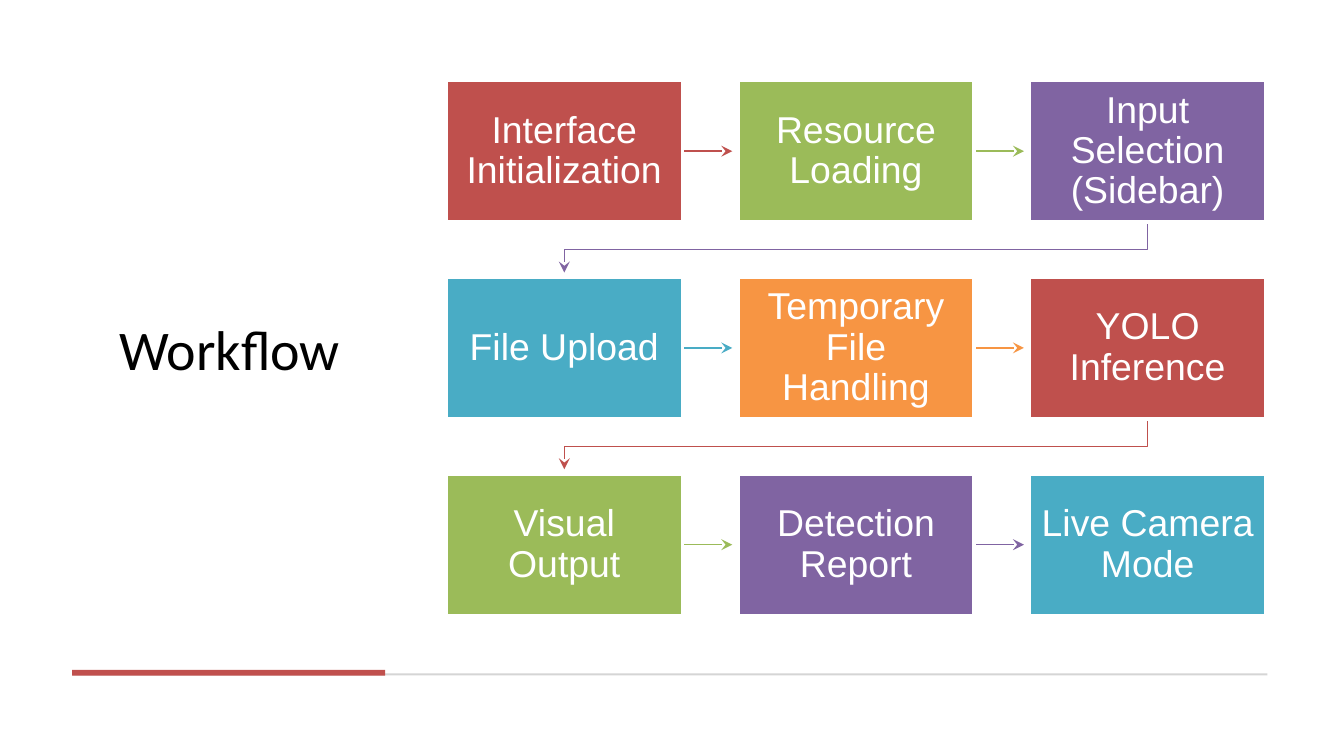
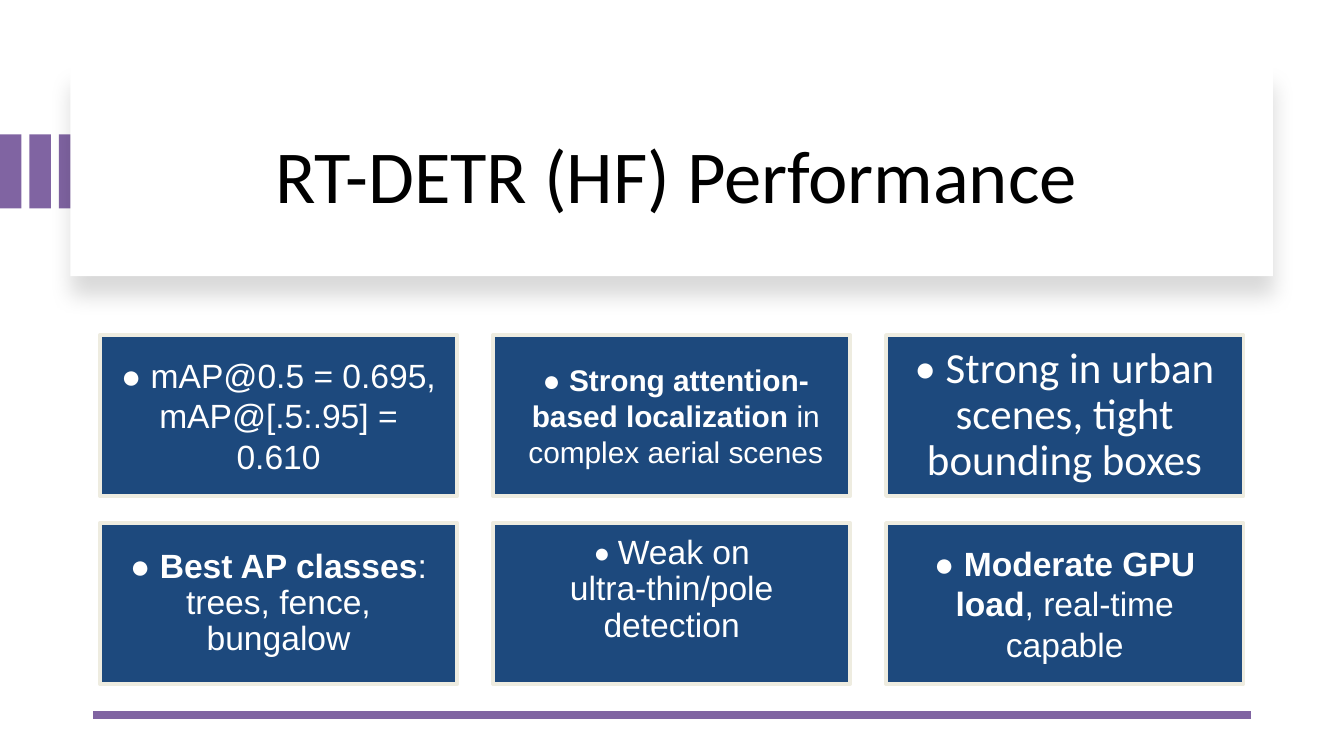
from lxml import etree
from pptx import Presentation
from pptx.dml.color import RGBColor
from pptx.enum import shapes, text
from pptx.oxml import ns
from pptx.util import Pt

COLORS = {
    "white": "FFFFFF", "black": "000000", "rule": "D5D5D5", "accent": "C0504D",
    "red": "BF504D", "green": "9BBB59", "purple": "8064A2", "teal": "49ACC5",
    "orange": "F79543", "navy": "1D497D", "cream": "EEECE0",
}


def rgb(name):
    return RGBColor.from_string(COLORS[name])


class Deck:
    def __init__(self, width, height):
        self.prs = Presentation()
        self.prs.slide_width, self.prs.slide_height = Pt(width), Pt(height)
        self.s = None

    def slide(self):
        self.s = self.prs.slides.add_slide(self.prs.slide_layouts[6])

    def rect(self, x, y, w, h, fill, line=None):
        sp = self.s.shapes.add_shape(
            shapes.MSO_SHAPE.RECTANGLE, Pt(x), Pt(y), Pt(w), Pt(h))
        sp.shadow.inherit = False
        sp.fill.solid()
        sp.fill.fore_color.rgb = rgb(fill)
        if line:
            sp.line.color.rgb = rgb(line)
            sp.line.width = Pt(2)
        else:
            sp.line.fill.background()
        return sp

    def drop_shadow(self, sp, blur, dist, alpha):
        effects = sp._element.spPr.find(ns.qn("a:effectLst"))
        shadow = etree.SubElement(
            effects, ns.qn("a:outerShdw"), blurRad=str(Pt(blur)),
            dist=str(Pt(dist)), dir="5400000", algn="t", rotWithShape="0")
        color = etree.SubElement(shadow, ns.qn("a:srgbClr"), val=COLORS["black"])
        etree.SubElement(color, ns.qn("a:alpha"), val=str(alpha * 1000))

    def label(self, sp, runs, size, font="Arial", color="white", spacing=1.0,
              inset=(7.2, 7.2, 7.2, 7.2)):
        tf = sp.text_frame
        tf.word_wrap = True
        tf.vertical_anchor = text.MSO_ANCHOR.MIDDLE
        tf.margin_left, tf.margin_top, tf.margin_right, tf.margin_bottom = map(Pt, inset)
        p = tf.paragraphs[0]
        p.alignment = text.PP_ALIGN.CENTER
        p.line_spacing = spacing
        p.font.size, p.font.name = Pt(size), font
        p.font.color.rgb = rgb(color)
        for words, style in runs:
            r = p.add_run()
            r.text = words
            if style == "bold":
                r.font.bold = True
            elif style:
                r.font.name = style

    def title(self, words, x, y, w, h, size):
        sp = self.s.shapes.add_textbox(Pt(x), Pt(y), Pt(w), Pt(h))
        self.label(sp, [(words, None)], size, "Calibri", "black",
                   inset=(7.2, 3.6, 7.2, 3.6))

    def line(self, x1, y1, x2, y2, color, width):
        cx = self.s.shapes.add_connector(
            shapes.MSO_CONNECTOR.STRAIGHT, Pt(x1), Pt(y1), Pt(x2), Pt(y2))
        cx.line.color.rgb = rgb(color)
        cx.line.width = Pt(width)
        etree.SubElement(cx._element.spPr, ns.qn("a:effectLst"))
        return cx

    def arrowhead(self, sp):
        ln = sp._element.spPr.find(ns.qn("a:ln"))
        etree.SubElement(ln, ns.qn("a:tailEnd"), type="stealth")

    def arrow(self, x1, y1, x2, y2, color):
        self.arrowhead(self.line(x1, y1, x2, y2, color, 0.75))

    def bent_arrow(self, points, color):
        start, *rest = [(Pt(x), Pt(y)) for x, y in points]
        builder = self.s.shapes.build_freeform(*start)
        builder.add_line_segments(rest, close=False)
        sp = builder.convert_to_shape()
        sp.shadow.inherit = False
        sp.fill.background()
        sp.line.color.rgb = rgb(color)
        sp.line.width = Pt(0.75)
        self.arrowhead(sp)


def workflow(deck):
    deck.slide()
    deck.title("Workflow", 39, 25, 168, 322.5, 30)
    deck.rect(39, 360.8, 640, 1, "rule")
    deck.rect(38.7, 358.8, 167.7, 3.2, "accent")

    steps = [
        ("Interface Initialization", "red"),
        ("Resource Loading", "green"),
        ("Input Selection (Sidebar)", "purple"),
        ("File Upload", "teal"),
        ("Temporary File Handling", "orange"),
        ("YOLO Inference", "red"),
        ("Visual Output", "green"),
        ("Detection Report", "purple"),
        ("Live Camera Mode", "teal"),
    ]
    left, top, w, h, dx, dy, cols = 239, 43, 126.7, 76, 156.25, 105.4, 3
    for i, (words, color) in enumerate(steps):
        row, col = divmod(i, cols)
        x, y = left + col * dx, top + row * dy
        if col < cols - 1:
            deck.arrow(x + w, y + h / 2, x + w + 26.6, y + h / 2, color)
        elif i < len(steps) - 1:
            start, end, bottom = x + w / 2, left + w / 2, y + h
            deck.bent_arrow([(start, bottom), (start, bottom + 14.8),
                             (end, bottom + 14.8), (end, bottom + 27)], color)
        sp = deck.rect(x, y, w, h, color, "white")
        deck.label(sp, [(words, None)], 20, spacing=0.9, inset=(6.2, 6.5, 6.2, 6.5))


def performance(deck):
    deck.slide()
    for i in range(3):
        deck.rect(15.8 * i, 72, 11.5, 39.6, "purple")
    banner = deck.rect(37.7, 36, 644.3, 112, "white")
    deck.drop_shadow(banner, 11, 10, 15)
    deck.title("RT-DETR (HF) Performance", 62, 47.5, 600.5, 91.5, 40)
    deck.line(670.3, 383, 49.7, 383, "purple", 4.5)

    even = (7.2, 7.2, 7.2, 7.2)
    findings = [
        ([("● mAP@0.5 = 0.695, mAP@[.5:.95] = 0.610", None)], 18, "Arial", 1.0, even),
        ([("● ", None), ("Strong attention-based localization", "bold"),
          (" in complex aerial scenes", None)], 16, "Arial", 1.0, (11.5, 7.2, 7.2, 7.2)),
        ([("• Strong in urban scenes, tight bounding boxes", None)], 23, "Calibri", 0.9, even),
        ([("● ", None), ("Best AP classes", "bold"),
          (": trees, fence, bungalow", None)], 18, "Arial", 0.9, even),
        ([("• ", "Calibri"), ("Weak on ultra‑thin/pole detection", None)],
         18, "Arial", 0.9, (7.2, 7.2, 7.2, 21.7)),
        ([("● ", None), ("Moderate GPU load", "bold"),
          (", real-time capable", None)], 18, "Arial", 1.0, even),
    ]
    for i, (runs, size, font, spacing, inset) in enumerate(findings):
        row, col = divmod(i, 3)
        sp = deck.rect(53.5 + 210.6 * col, 179.5 + 100.7 * row, 191.5, 86.2, "navy", "cream")
        deck.label(sp, runs, size, font, spacing=spacing, inset=inset)


def main():
    deck = Deck(720, 405)
    workflow(deck)
    performance(deck)
    deck.prs.save("out.pptx")


if __name__ == "__main__":
    main()
